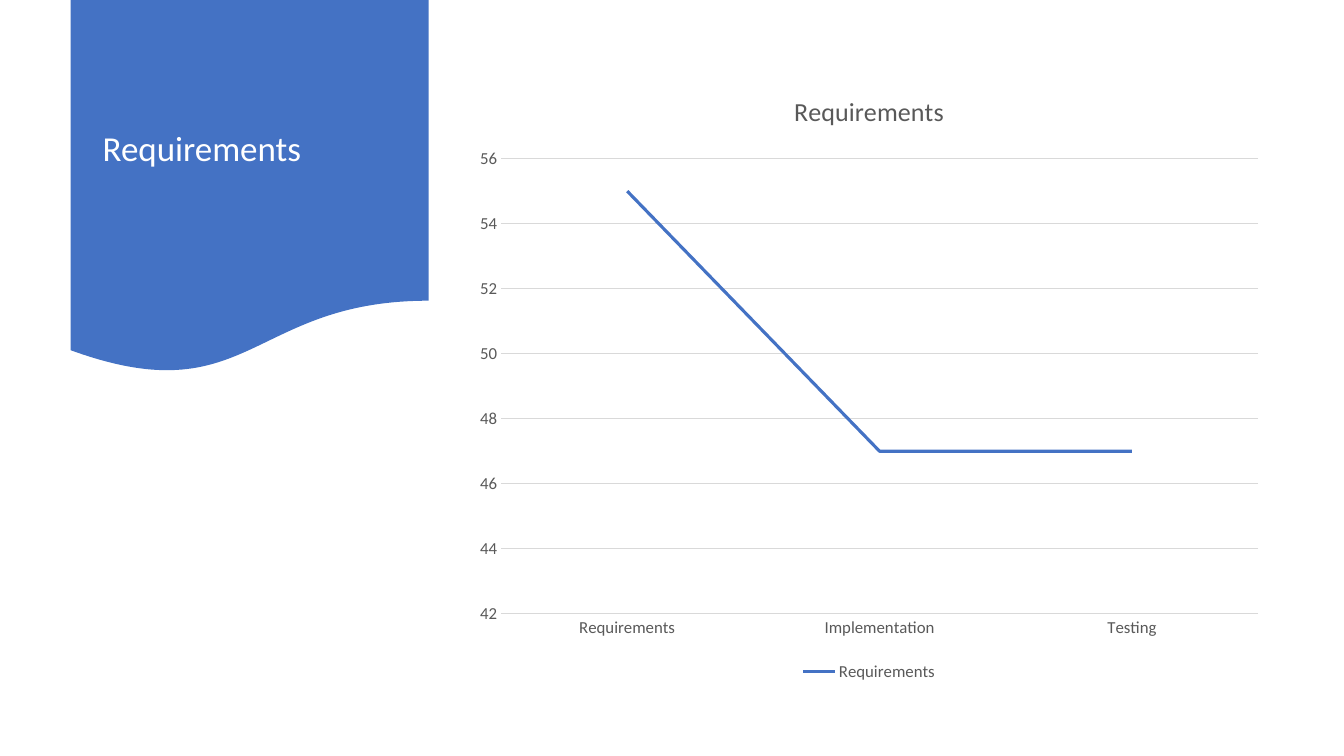
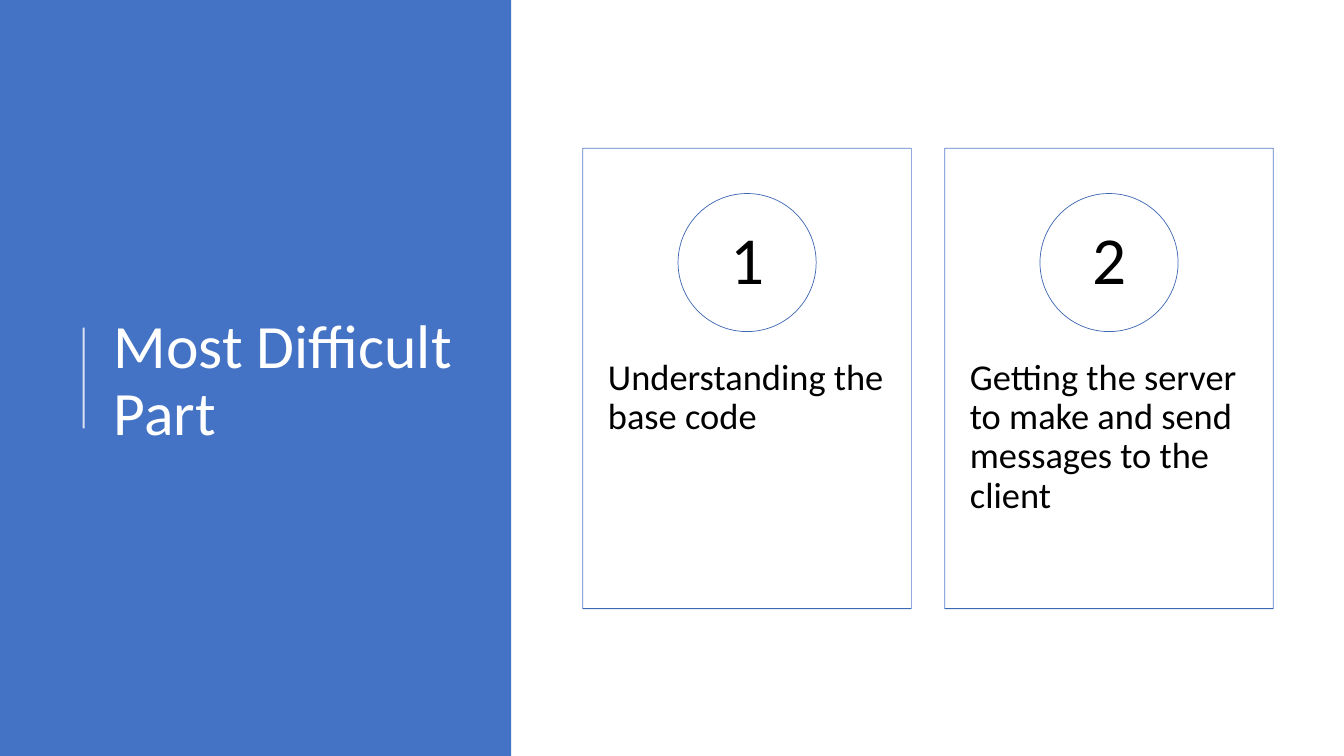
from lxml import etree
from pptx import Presentation
from pptx.chart.data import CategoryChartData
from pptx.dml.color import RGBColor
from pptx.enum.chart import XL_CHART_TYPE, XL_LEGEND_POSITION, XL_TICK_MARK
from pptx.enum.shapes import MSO_CONNECTOR, MSO_SHAPE
from pptx.enum.text import MSO_ANCHOR, PP_ALIGN
from pptx.oxml.ns import qn
from pptx.util import Inches, Pt

RECTANGLE, ELLIPSE = MSO_SHAPE.RECTANGLE, MSO_SHAPE.OVAL
WAVE_BANNER = MSO_SHAPE.FLOWCHART_DOCUMENT
STRAIGHT = MSO_CONNECTOR.STRAIGHT
TOP, MIDDLE = MSO_ANCHOR.TOP, MSO_ANCHOR.MIDDLE
LEFT, CENTER = PP_ALIGN.LEFT, PP_ALIGN.CENTER
LINE_CHART = XL_CHART_TYPE.LINE
LEGEND_BOTTOM = XL_LEGEND_POSITION.BOTTOM
NO_TICK = XL_TICK_MARK.NONE

FONT = "Calibri"
BLUE, DARK_BLUE = "4472C4", "3E67B2"
WHITE, BLACK = "FFFFFF", "000000"
GRAY, GRID_GRAY = "595959", "D9D9D9"
TITLE_STYLE = {"color": WHITE, "anchor": MIDDLE}


def paint(color_format, color, opacity=100):
    """Set a colour from a hex string, with an opacity in percent."""
    color_format.rgb = RGBColor.from_string(color)
    if opacity < 100:
        node = color_format._xFill.find(qn("a:srgbClr"))
        etree.SubElement(node, qn("a:alpha")).set("val", str(opacity * 1000))


def set_fill(fill, color, opacity=100):
    """Give a solid fill."""
    fill.solid()
    paint(fill.fore_color, color, opacity)


def set_line(line, color, width, opacity=100):
    """Give a solid outline; width is in points."""
    set_fill(line.fill, color, opacity)
    line.width = Pt(width)


def set_font(font, size, color):
    """Set typeface, size and colour."""
    font.name, font.size, font.bold = FONT, Pt(size), False
    paint(font.color, color)


def write_text(shape, text, size, color=BLACK, anchor=TOP, align=LEFT,
               insets=(0.1, 0.05)):
    """Write one paragraph into a shape; insets are horizontal, vertical."""
    frame = shape.text_frame
    frame.word_wrap = True
    frame.vertical_anchor = anchor
    frame.margin_left = frame.margin_right = Inches(insets[0])
    frame.margin_top = frame.margin_bottom = Inches(insets[1])
    para = frame.paragraphs[0]
    para.alignment, para.line_spacing = align, 0.9
    span = para.add_run()
    span.text = text
    set_font(span.font, size, color)


def add_text(page, text, left, top, width, height, **text_format):
    """Add a text box."""
    box = page.shapes.add_textbox(
        Inches(left), Inches(top), Inches(width), Inches(height))
    write_text(box, text, **text_format)


def add_figure(page, kind, left, top, width, height, fill, opacity=100,
               line=None):
    """Add a preset shape; without a line colour it has no outline."""
    figure = page.shapes.add_shape(
        kind, Inches(left), Inches(top), Inches(width), Inches(height))
    figure.shadow.inherit = False
    set_fill(figure.fill, fill, opacity)
    if line:
        set_line(figure.line, line, 0.5, opacity)
    else:
        figure.line.fill.background()
    return figure


def add_rule(page, start, end, color, width, opacity=100):
    """Add a straight line between two points."""
    rule = page.shapes.add_connector(
        STRAIGHT, *(Inches(value) for value in (*start, *end)))
    set_line(rule.line, color, width, opacity)
    etree.SubElement(rule._element.spPr, qn("a:effectLst"))


def style_axis(axis):
    """Give an axis its labels and no tick marks."""
    axis.major_tick_mark = axis.minor_tick_mark = NO_TICK
    set_font(axis.tick_labels.font, 12, GRAY)


def add_line_chart(page, name, values, left, top, width, height):
    """Add a line chart of one series, titled with its name."""
    data = CategoryChartData()
    data.categories = list(values)
    data.add_series(name, list(values.values()))
    chart = page.shapes.add_chart(
        LINE_CHART, Inches(left), Inches(top), Inches(width), Inches(height),
        data).chart
    set_font(chart.font, 10, BLACK)

    chart.has_title = True
    span = chart.chart_title.text_frame.paragraphs[0].add_run()
    span.text = name
    set_font(span.font, 18.6, GRAY)
    chart.chart_title.include_in_layout = False

    chart.has_legend = True
    chart.legend.position = LEGEND_BOTTOM
    chart.legend.include_in_layout = False
    set_font(chart.legend.font, 12, GRAY)

    style_axis(chart.category_axis)
    set_line(chart.category_axis.format.line, GRID_GRAY, 0.75)
    scale = chart.value_axis
    style_axis(scale)
    scale.minimum_scale, scale.maximum_scale, scale.major_unit = 42, 56, 2
    scale.format.line.fill.background()
    set_line(scale.major_gridlines.format.line, GRID_GRAY, 0.75)

    chart.plots[0].vary_by_categories = False
    series = chart.plots[0].series[0]
    series.smooth = False
    set_line(series.format.line, BLUE, 2.25)


def add_card(page, number, text, left):
    """Add a framed card with a numbered circle above its text."""
    top, width, height, circle = 1.47, 3.26, 4.57, 1.37
    bottom = top + height
    add_figure(page, RECTANGLE, left, top, width, height, WHITE, 90, BLUE)
    add_text(page, text, left, 3.2, width, 2.74, size=26, insets=(0.25, 0.36))
    badge = add_figure(page, ELLIPSE, left + (width - circle) / 2, 1.92,
                       circle, circle, WHITE, line=DARK_BLUE)
    write_text(badge, str(number), size=48, anchor=MIDDLE, align=CENTER,
               insets=(0.11, 0.01))
    add_rule(page, (left, bottom), (left + width, bottom), DARK_BLUE, 0.5)


def build_requirements(page):
    """Build the slide with the requirements chart."""
    add_figure(page, WAVE_BANNER, 0.7, 0, 3.55, 3.72, BLUE)
    add_text(page, "Requirements", 0.92, 0.19, 3.11, 2.59, size=25,
             **TITLE_STYLE)
    values = {"Requirements": 55, "Implementation": 47, "Testing": 47}
    add_line_chart(page, "Requirements", values, 4.6, 0.7, 8.04, 6.1)


def build_difficulties(page):
    """Build the slide with the numbered cards."""
    add_figure(page, RECTANGLE, 0, 0, 5.07, 7.5, BLUE)
    add_rule(page, (0.83, 4.25), (0.83, 3.25), WHITE, 1.5, 80)
    add_text(page, "Most Difficult Part", 1.03, 0.78, 3.69, 6.02, size=44,
             **TITLE_STYLE)
    cards = ("Understanding the base code",
             "Getting the server to make and send messages to the client")
    for index, text in enumerate(cards):
        add_card(page, index + 1, text, 5.78 + index * 3.59)


def main():
    """Build and save the deck."""
    deck = Presentation()
    deck.slide_width, deck.slide_height = Inches(13.33), Inches(7.5)
    for build in (build_requirements, build_difficulties):
        build(deck.slides.add_slide(deck.slide_layouts[6]))
    deck.save("out.pptx")


main()
